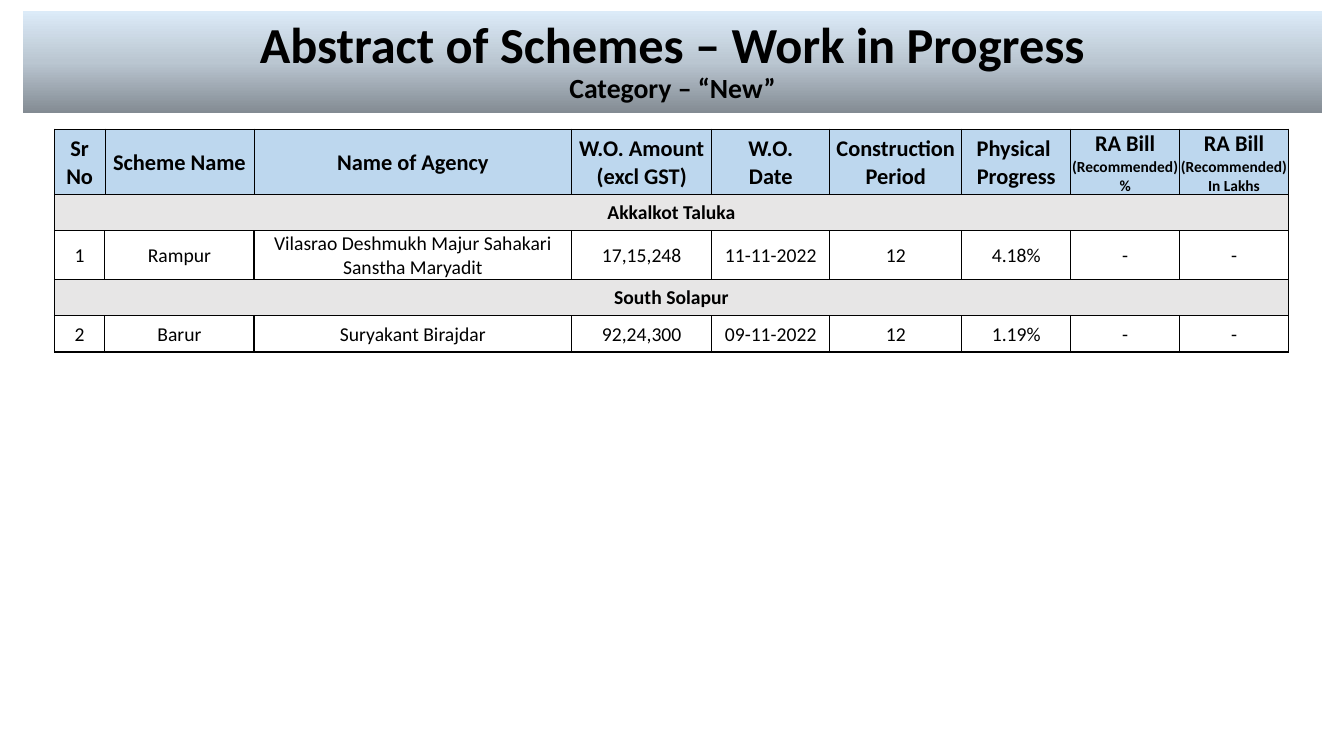
from copy import deepcopy
from dataclasses import dataclass

from lxml.etree import SubElement
from pptx import Presentation
from pptx.dml.color import RGBColor
from pptx.enum.shapes import MSO_SHAPE
from pptx.enum.text import MSO_ANCHOR, PP_ALIGN
from pptx.oxml.ns import qn
from pptx.util import Inches, Pt

BLACK = RGBColor(0x00, 0x00, 0x00)
BLUE = RGBColor(0xBD, 0xD7, 0xEE)
GRAY = RGBColor(0xE7, 0xE6, 0xE6)
DARK = RGBColor(0x83, 0x8B, 0x93)
MID = RGBColor(0xBA, 0xC6, 0xD1)
LIGHT = RGBColor(0xDC, 0xEB, 0xF8)
FONT = "Calibri"
WIDTHS = [0.5, 1.48, 3.15, 1.39, 1.17, 1.31, 1.08, 1.08, 1.08]
LEFT = 0.54


@dataclass
class Row:
    texts: list[str]
    height: float = 0.36
    size: float = 14
    bold: bool = False
    fill: RGBColor | None = None
    line: float = 1


HEAD = [
    Row(
        ["Sr No", "Scheme Name", "Name of Agency", "W.O. Amount\v(excl GST)",
         "W.O.\vDate", "Construction\vPeriod", "Physical \nProgress",
         "RA Bill\n(Recommended)\n%", "RA Bill\n(Recommended)\nIn Lakhs"],
        height=0.65, size=16, bold=True, fill=BLUE, line=0.5,
    ),
]
# A row with one text spans the full width
BODY = [
    Row(["Akkalkot Taluka"], bold=True, fill=GRAY),
    Row(["1", "Rampur", "Vilasrao Deshmukh Majur Sahakari Sanstha Maryadit",
         "17,15,248", "11-11-2022", "12", "4.18%", "-", "-"]),
    Row(["South Solapur"], bold=True, fill=GRAY),
    Row(["2", "Barur", "Suryakant Birajdar",
         "92,24,300", "09-11-2022", "12", "1.19%", "-", "-"]),
]


def style(font, size: float, bold: bool) -> None:
    font.name = FONT
    font.size = Pt(size)
    font.bold = bold
    font.color.rgb = BLACK


def border(cell, width: float) -> None:
    props = cell._tc.get_or_add_tcPr()
    for side in ("lnL", "lnR", "lnT", "lnB"):
        line = SubElement(props, qn(f"a:{side}"), w=str(Pt(width)))
        fill = SubElement(line, qn("a:solidFill"))
        SubElement(fill, qn("a:srgbClr"), val=str(BLACK))


def write(cell, text: str, row: Row) -> None:
    cell.margin_left = cell.margin_right = cell.margin_top = Inches(0.01)
    cell.margin_bottom = 0
    cell.vertical_anchor = MSO_ANCHOR.MIDDLE
    border(cell, row.line)
    if row.fill is None:
        cell.fill.background()
    else:
        cell.fill.solid()
        cell.fill.fore_color.rgb = row.fill
    cell.text_frame.text = text
    paras = cell.text_frame.paragraphs
    for index, para in enumerate(paras):
        para.alignment = PP_ALIGN.CENTER
        # Three-line headings have small notes below the first line
        small = len(paras) == 3 and index > 0
        for run in para.runs:
            style(run.font, 11 if small else row.size, row.bold)


def grid(slide, top: float, rows: list[Row]) -> None:
    table = slide.shapes.add_table(
        len(rows), len(WIDTHS), Inches(LEFT), Inches(top),
        Inches(sum(WIDTHS)), Inches(sum(row.height for row in rows)),
    ).table
    table.first_row = table.horz_banding = False
    for column, width in zip(table.columns, WIDTHS):
        column.width = Inches(width)
    for index, row in enumerate(rows):
        table.rows[index].height = Inches(row.height)
        if len(row.texts) == 1:
            table.cell(index, 0).merge(table.cell(index, len(WIDTHS) - 1))
        for column, text in enumerate(row.texts):
            write(table.cell(index, column), text, row)


def banner(slide) -> None:
    shape = slide.shapes.add_shape(
        MSO_SHAPE.RECTANGLE, Inches(0.23), Inches(0.11), Inches(12.88), Inches(1.01)
    )
    shape.shadow.inherit = False
    shape.line.fill.background()

    # Three-stop gradient, dark at the bottom
    shape.fill.gradient()
    shape.fill.gradient_angle = 90
    stops = shape._element.spPr.find(qn("a:gradFill")).find(qn("a:gsLst"))
    stops.insert(1, deepcopy(stops[0]))
    for stop, color, place in zip(
        shape.fill.gradient_stops, (DARK, MID, LIGHT), (0, 0.5, 1)
    ):
        stop.color.rgb = color
        stop.position = place

    # Title and subtitle
    frame = shape.text_frame
    frame.word_wrap = True
    frame.vertical_anchor = MSO_ANCHOR.MIDDLE
    frame.text = "Abstract of Schemes – Work in Progress\vCategory – “New”"
    para = frame.paragraphs[0]
    para.alignment = PP_ALIGN.CENTER
    para.line_spacing = 0.9
    for run, size in zip(para.runs, (36, 19.8)):
        style(run.font, size, True)


def main() -> None:
    deck = Presentation()
    deck.slide_width = Inches(13.33)
    deck.slide_height = Inches(7.5)
    slide = deck.slides.add_slide(deck.slide_layouts[6])
    banner(slide)
    grid(slide, 1.28, HEAD)
    grid(slide, 1.93, BODY)
    deck.save("out.pptx")


if __name__ == "__main__":
    main()
